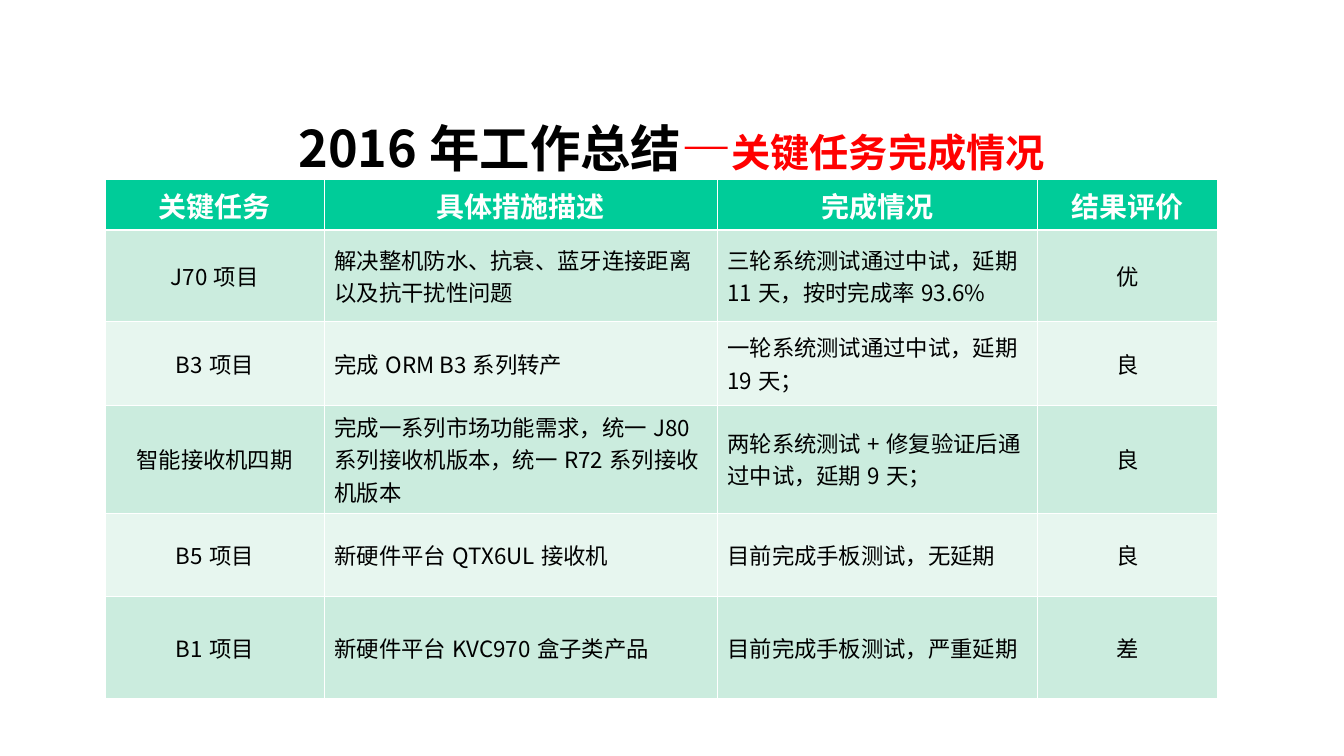
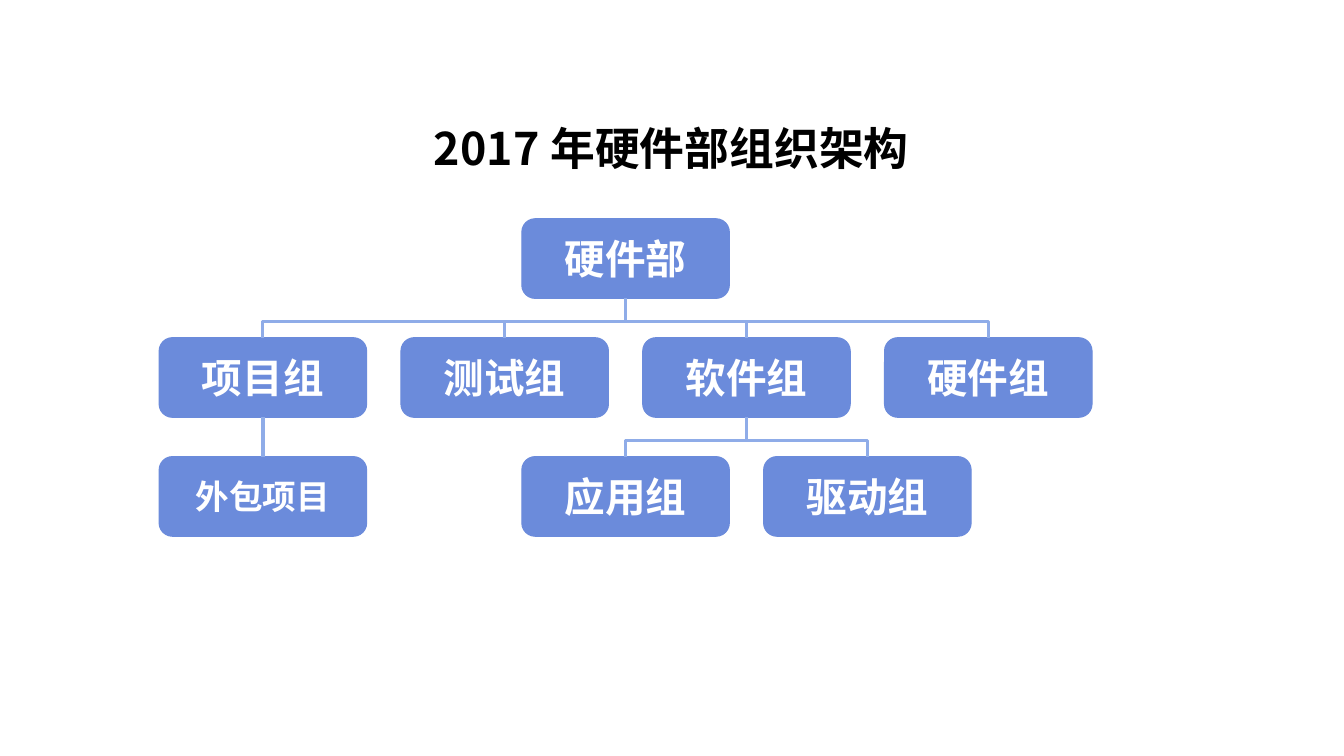
from dataclasses import dataclass

import lxml.etree
import pptx
import pptx.dml.color
import pptx.enum.shapes
import pptx.enum.text
import pptx.oxml.ns
import pptx.util

Inches = pptx.util.Inches
Pt = pptx.util.Pt
Align = pptx.enum.text.PP_ALIGN
Anchor = pptx.enum.text.MSO_ANCHOR
Shape = pptx.enum.shapes.MSO_SHAPE
Connector = pptx.enum.shapes.MSO_CONNECTOR
qn = pptx.oxml.ns.qn


@dataclass(frozen=True)
class Theme:
    font: str = "Noto Sans CJK SC"
    box_font: str = "Arial"
    ink: str = "000000"
    white: str = "FFFFFF"
    accent: str = "FF0000"
    header: str = "00CC99"
    bands: tuple = ("CBECDE", "E7F6EF")
    box: str = "6B8BDB"
    link: str = "8FACE8"
    title_size: int = 36
    chart_title_size: int = 32
    subtitle_size: int = 28
    header_size: int = 20
    cell_size: int = 16
    box_size: int = 29
    small_box_size: int = 24


THEME = Theme()

# Task table: column widths, row heights and wording
COLUMN_WIDTHS = (2.18, 3.9, 3.18, 1.78)
ROW_HEIGHTS = (0.5, 0.91, 0.83, 1.07, 0.83, 1.01)
CENTRED_COLUMNS = (0, 3)
TASKS = (
    ("关键任务", "具体措施描述", "完成情况", "结果评价"),
    ("J70项目", "解决整机防水、抗衰、蓝牙连接距离以及抗干扰性问题",
     "三轮系统测试通过中试，延期11天，按时完成率93.6%", "优"),
    ("B3项目", "完成ORM B3系列转产", "一轮系统测试通过中试，延期19天；", "良"),
    ("智能接收机四期", "完成一系列市场功能需求，统一J80系列接收机版本，统一R72系列接收机版本",
     "两轮系统测试+修复验证后通过中试，延期9天；", "良"),
    ("B5项目", "新硬件平台QTX6UL接收机", "目前完成手板测试，无延期", "良"),
    ("B1项目", "新硬件平台KVC970盒子类产品", "目前完成手板测试，严重延期", "差"),
)

# Organisation chart: name, grid column, grid row, parent
UNITS = (
    ("硬件部", 1.5, 0, None),
    ("项目组", 0, 1, "硬件部"),
    ("测试组", 1, 1, "硬件部"),
    ("软件组", 2, 1, "硬件部"),
    ("硬件组", 3, 1, "硬件部"),
    ("应用组", 1.5, 2, "软件组"),
    ("驱动组", 2.5, 2, "软件组"),
    ("外包项目", 0, 2, "项目组"),
)
CHART_LEFT, CHART_TOP = 1.58, 2.17
COLUMN_STEP, ROW_STEP = 2.4, 1.18
BOX_WIDTH, BOX_HEIGHT = 2.06, 0.79


def rgb(code):
    return pptx.dml.color.RGBColor.from_string(code)


def add_text(para, text, size, color=THEME.ink, bold=False, font=THEME.font, align=None):
    """Append one formatted span to a paragraph."""
    if align is not None:
        para.alignment = align
    span = para.add_run()
    span.text = text
    span.font.size = Pt(size)
    span.font.bold = bold
    span.font.color.rgb = rgb(color)
    span.font.name = font
    east_asian = lxml.etree.SubElement(span.font._element, qn("a:ea"))
    east_asian.set("typeface", THEME.font)


def add_title(page, *spans):
    """Centred title; each span is (text, size, color)."""
    box = page.shapes.add_textbox(Inches(1.03), Inches(1.15), Inches(11.27), Inches(0.63))
    frame = box.text_frame
    frame.word_wrap = True
    frame.vertical_anchor = Anchor.MIDDLE
    for text, size, color in spans:
        add_text(frame.paragraphs[0], text, size, color=color, bold=True, align=Align.CENTER)


def set_borders(cell, top, bottom):
    """White cell borders; top and bottom widths in points."""
    properties = cell._tc.get_or_add_tcPr()
    sides = (("a:lnL", 0.45), ("a:lnR", 0.45), ("a:lnT", top), ("a:lnB", bottom))
    for position, (tag, width) in enumerate(sides):
        line = lxml.etree.Element(qn(tag), w=str(Pt(width)))
        fill = lxml.etree.SubElement(line, qn("a:solidFill"))
        lxml.etree.SubElement(fill, qn("a:srgbClr"), val=THEME.white)
        properties.insert(position, line)


def add_task_table(page):
    table = page.shapes.add_table(
        len(TASKS), len(COLUMN_WIDTHS), Inches(1.04), Inches(1.78),
        Inches(sum(COLUMN_WIDTHS)), Inches(sum(ROW_HEIGHTS))).table
    for column, width in zip(table.columns, COLUMN_WIDTHS):
        column.width = Inches(width)
    for row_index, (row, height) in enumerate(zip(table.rows, ROW_HEIGHTS)):
        row.height = Inches(height)
        is_header = row_index == 0
        for column_index, text in enumerate(TASKS[row_index]):
            cell = table.cell(row_index, column_index)
            cell.vertical_anchor = Anchor.MIDDLE
            cell.fill.solid()
            cell.fill.fore_color.rgb = rgb(
                THEME.header if is_header else THEME.bands[(row_index - 1) % 2])
            set_borders(cell, top=1.47 if row_index == 1 else 0.45,
                        bottom=1.47 if is_header else 0.45)
            centred = is_header or column_index in CENTRED_COLUMNS
            add_text(cell.text_frame.paragraphs[0], text,
                     THEME.header_size if is_header else THEME.cell_size,
                     color=THEME.white if is_header else THEME.ink, bold=is_header,
                     align=Align.CENTER if centred else Align.LEFT)


def add_unit(page, name, column, row):
    box = page.shapes.add_shape(
        Shape.ROUNDED_RECTANGLE, Inches(CHART_LEFT + column * COLUMN_STEP),
        Inches(CHART_TOP + row * ROW_STEP), Inches(BOX_WIDTH), Inches(BOX_HEIGHT))
    box.shadow.inherit = False
    box.fill.solid()
    box.fill.fore_color.rgb = rgb(THEME.box)
    box.line.color.rgb = rgb(THEME.box)
    box.line.width = Pt(0.75)
    frame = box.text_frame
    frame.word_wrap = True
    frame.vertical_anchor = Anchor.MIDDLE
    size = THEME.box_size if len(name) < 4 else THEME.small_box_size
    add_text(frame.paragraphs[0], name, size, color=THEME.white, bold=True,
             font=THEME.box_font, align=Align.CENTER)
    return box


def add_link(page, child, parent):
    """Line from the top of a child to the bottom of its parent."""
    child_x, parent_x = (box.left + box.width // 2 for box in (child, parent))
    child_y, parent_y = child.top, parent.top + parent.height
    offset, gap = parent_x - child_x, child_y - parent_y
    kind = Connector.ELBOW if offset else Connector.STRAIGHT
    link = page.shapes.add_connector(kind, child_x, child_y, parent_x, parent_y)
    link.begin_connect(child, 0)
    link.end_connect(parent, 2)
    link.line.color.rgb = rgb(THEME.link)
    link.line.width = Pt(2.25)
    properties = link._element.spPr
    lxml.etree.SubElement(properties, qn("a:effectLst"))
    if not offset:
        return
    # A quarter turn makes the elbow leave the child upwards
    link.width, link.height = gap, abs(offset)
    link.left = (child_x + parent_x - gap) // 2
    link.top = (child_y + parent_y - abs(offset)) // 2
    transform = properties.find(qn("a:xfrm"))
    transform.set("rot", str((90 if offset > 0 else 270) * 60000))
    transform.set("flipH", "1" if offset > 0 else "0")
    transform.set("flipV", "1")
    guides = properties.find(qn("a:prstGeom")).get_or_add_avLst()
    lxml.etree.SubElement(guides, qn("a:gd"), name="adj1", fmla="val 40000")


def add_organisation(page):
    boxes = {}
    for name, column, row, parent in UNITS:
        boxes[name] = add_unit(page, name, column, row)
        if parent:
            add_link(page, boxes[name], boxes[parent])


def main():
    deck = pptx.Presentation()
    deck.slide_width, deck.slide_height = Inches(13.34), Inches(7.5)
    blank = deck.slide_layouts[6]

    # Key tasks of 2016
    page = deck.slides.add_slide(blank)
    add_title(page, ("2016年工作总结", THEME.title_size, THEME.ink),
              ("—", THEME.title_size, THEME.accent),
              ("关键任务完成情况", THEME.subtitle_size, THEME.accent))
    add_task_table(page)

    # Department structure of 2017
    page = deck.slides.add_slide(blank)
    add_title(page, ("2017年硬件部组织架构", THEME.chart_title_size, THEME.ink))
    add_organisation(page)

    deck.save("out.pptx")


if __name__ == "__main__":
    main()
